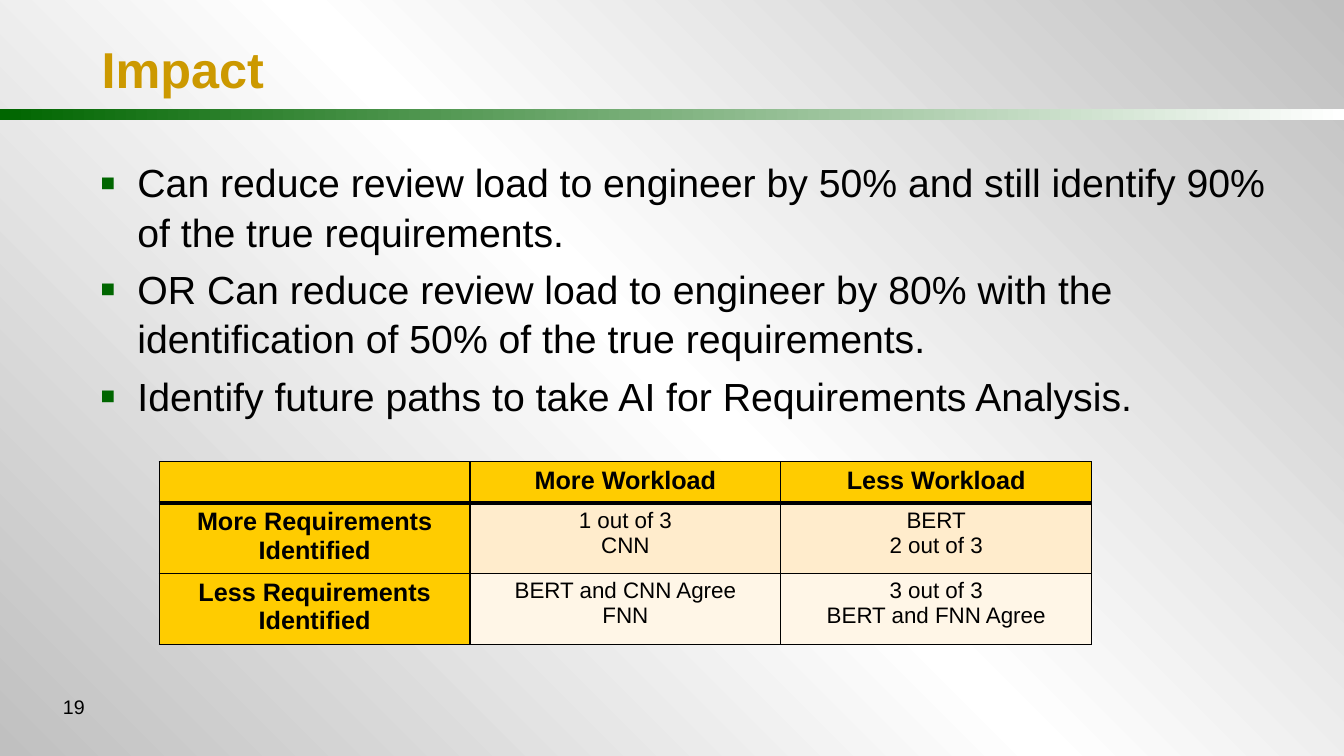
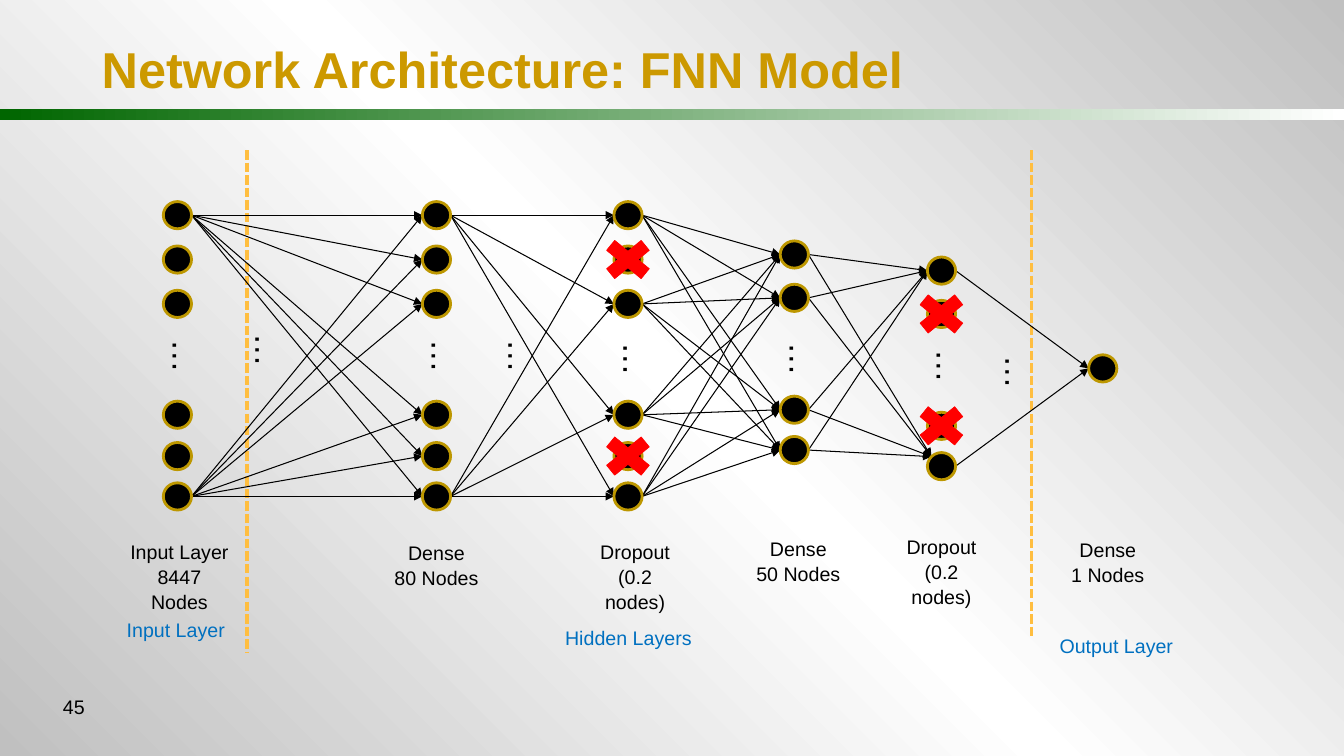
from dataclasses import dataclass
from itertools import product

from lxml import etree
from pptx import Presentation
from pptx import util as u
from pptx.dml.color import RGBColor
from pptx.enum import dml, shapes, text
from pptx.oxml.ns import qn

# Grid: square cells of a tenth of an inch
CELL = u.Inches(0.1)
COLS, ROWS = 133.33, 75

FONT = "Arial"
BLACK, WHITE, SILVER = "000000", "FFFFFF", "C0C0C0"
GREEN, GOLD, AMBER = "006600", "CC9900", "FFCC00"
RIM, DASH, RED, BLUE = "BD9700", "FFBE40", "FF0000", "0070C0"
BANDS = ("FFECCC", "FFF6E7")
LEFT, CENTER, RIGHT = (text.PP_ALIGN.LEFT, text.PP_ALIGN.CENTER,
                       text.PP_ALIGN.RIGHT)

NODE_W, NODE_H = 2.8, 2.7
CROSS_W, CROSS_H = 6.6, 5.4
SIX = (0, 4.4, 8.8, 19.8, 23.9, 27.9)
FOUR = (0, 4.3, 15.4, 19.4)


@dataclass(frozen=True)
class Layer:
    """A column of nodes with its caption."""
    x: float
    top: float
    offsets: tuple
    caption: str
    caption_mid: float
    caption_top: float
    dots_top: float | None = None
    caption_width: float = 11.2
    dropped: tuple = ()
    senders: tuple | None = None  # None: every live node sends
    corner: tuple = ()  # nodes whose arrows end at their upper left

    @property
    def live(self) -> list:
        return [i for i in range(len(self.offsets)) if i not in self.dropped]

    def mid(self, i: int) -> float:
        return self.top + self.offsets[i] + NODE_H / 2

    def exit(self, i: int) -> tuple:
        return self.x + NODE_W, self.mid(i)

    def entry(self, i: int) -> tuple:
        if i in self.corner:
            return self.x + 0.4, self.top + self.offsets[i] + 0.4
        return self.x, self.mid(i)


@dataclass(frozen=True)
class Label:
    text: str
    x: float
    y: float


LAYERS = (
    Layer(16.2, 20, SIX, "Input Layer\n8447 Nodes", 17.8, 53, 33.4,
          caption_width=11.8, senders=(0, 5)),
    Layer(41.9, 20, SIX, "Dense\n80 Nodes", 43.3, 53.1, 33.4, senders=(0, 5)),
    Layer(60.9, 20, SIX, "Dropout\n(0.2 nodes)", 63, 53, 33.7, dropped=(1, 4)),
    Layer(77.4, 23.9, FOUR, "Dense\n50 Nodes", 79.2, 52.7, 33.7),
    Layer(92, 25.5, FOUR, "Dropout\n(0.2 nodes)", 93.4, 52.5, 34.4,
          dropped=(1, 2), corner=(3,)),
    Layer(108, 35.2, (0,), "Dense\n1 Nodes", 109.9, 52.8),
)
STAGES = (Label("Input Layer", 9.1, 60.7), Label("Hidden Layers", 54, 61.5),
          Label("Output Layer", 102.4, 62.3))
GAP_DOTS = ((23.6, 32.9), (48.7, 33.4), (98, 35))
DIVIDERS = ((24.5, 64.8), (102.3, 63.1))

BULLETS = """Can reduce review load to engineer by 50% and still identify 90% of the true requirements.
OR Can reduce review load to engineer by 80% with the identification of 50% of the true requirements.
Identify future paths to take AI for Requirements Analysis."""
TABLE = (
    ("", "More Workload", "Less Workload"),
    ("More Requirements Identified", "1 out of 3\nCNN", "BERT\n2 out of 3"),
    ("Less Requirements Identified", "BERT and CNN Agree\nFNN",
     "3 out of 3\nBERT and FNN Agree"),
)


# Basic helpers
def g(n: float) -> int:
    return round(n * CELL)


def box(*cells: float) -> list:
    return [g(n) for n in cells]


def rgb(color: str) -> RGBColor:
    return RGBColor.from_string(color)


def gradient(fill, root, stops: dict, angle: float) -> None:
    """Fill with stops (percent to colour); the angle is counterclockwise."""
    fill.gradient()
    fill.gradient_angle = angle
    gs_list = root.find(".//" + qn("a:gsLst"))
    for gs in list(gs_list):
        gs_list.remove(gs)
    for pos, color in stops.items():
        gs = etree.SubElement(gs_list, qn("a:gs"), pos=str(pos * 1000))
        etree.SubElement(gs, qn("a:srgbClr"), val=color)


def write(tf, content: str, *, size: float, color: str = BLACK,
          bold: bool = False, align=LEFT, spacing: float = 1.05) -> None:
    for i, line in enumerate(content.split("\n")):
        p = tf.add_paragraph() if i else tf.paragraphs[0]
        p.alignment, p.line_spacing = align, spacing
        r = p.add_run()
        r.text = line
        r.font.name, r.font.size, r.font.bold = FONT, u.Pt(size), bold
        r.font.color.rgb = rgb(color)


def add_text(s, content: str, at: tuple, *, anchor=text.MSO_ANCHOR.TOP,
             rotation: float = 0, **style):
    sp = s.shapes.add_textbox(*box(*at))
    sp.rotation = rotation
    tf = sp.text_frame
    tf.word_wrap, tf.vertical_anchor = True, anchor
    write(tf, content, **style)
    return tf


def add_shape(s, kind, at: tuple, fill: str, line: str, width: float) -> None:
    sp = s.shapes.add_shape(kind, *box(*at))
    sp.shadow.inherit = False
    sp.fill.solid()
    sp.fill.fore_color.rgb = rgb(fill)
    sp.line.color.rgb, sp.line.width = rgb(line), u.Pt(width)


def add_line(s, start: tuple, end: tuple, color: str, width: float, *,
             dashed: bool = False, arrow: bool = False) -> None:
    sp = s.shapes.add_connector(shapes.MSO_CONNECTOR.STRAIGHT,
                                *box(*start, *end))
    sp.line.color.rgb, sp.line.width = rgb(color), u.Pt(width)
    if dashed:
        sp.line.dash_style = dml.MSO_LINE.SQUARE_DOT
    if arrow:
        ln = sp.line._get_or_add_ln()
        etree.SubElement(ln, qn("a:tailEnd"), type="triangle")
    etree.SubElement(sp.element.spPr, qn("a:effectLst"))


# Shared frame: background, band, title and number
def new_slide(prs, title: str, number: int):
    s = prs.slides.add_slide(prs.slide_layouts[6])
    gradient(s.background.fill, s.element,
             {0: SILVER, 50: WHITE, 100: SILVER}, 45)
    band = s.shapes.add_shape(shapes.MSO_SHAPE.RECTANGLE,
                              *box(0, 10.8, COLS, 1.15))
    band.shadow.inherit = False
    band.line.fill.background()
    gradient(band.fill, band.element, {0: GREEN, 100: WHITE}, 0)
    add_text(s, title, (9.1, 0.9, 118.9, 11.4), size=36, color=GOLD,
             bold=True, anchor=text.MSO_ANCHOR.MIDDLE)
    add_text(s, str(number), (2.6, 68.3, 6.8, 5), size=14, align=RIGHT)
    return s


# Impact slide
def add_bullets(s) -> None:
    tf = add_text(s, BULLETS, (8.9, 15, 118.9, 41.7), size=28)
    for p in tf.paragraphs:
        p.space_before = u.Pt(5.6)
        pPr = p._p.get_or_add_pPr()
        pPr.set("marL", str(g(3.75)))
        pPr.set("indent", str(-g(3.75)))
        color = etree.SubElement(pPr, qn("a:buClr"))
        etree.SubElement(color, qn("a:srgbClr"), val=GREEN)
        etree.SubElement(pPr, qn("a:buSzPct"), val="120000")
        etree.SubElement(pPr, qn("a:buFont"), typeface=FONT)
        etree.SubElement(pPr, qn("a:buChar"), char="▪")


def add_borders(cell, widths: dict) -> None:
    tcPr = cell._tc.get_or_add_tcPr()
    for side, width in widths.items():
        ln = etree.SubElement(tcPr, qn(f"a:ln{side}"), w=str(u.Pt(width)))
        fill = etree.SubElement(ln, qn("a:solidFill"))
        etree.SubElement(fill, qn("a:srgbClr"), val=BLACK)


def add_matrix(s) -> None:
    table = s.shapes.add_table(3, 3, *box(15.8, 45.8, 92.5, 17.3)).table
    for row, height in zip(table.rows, (4.1, 6.6, 6.6)):
        row.height = g(height)
    for i, j in product(range(3), repeat=2):
        cell = table.cell(i, j)
        head = i == 0 or j == 0
        add_borders(cell, {"L": 1, "R": 1, "T": 3 if i == 1 else 1,
                           "B": 3 if i == 0 else 1})
        cell.fill.solid()
        cell.fill.fore_color.rgb = rgb(AMBER if head else BANDS[i - 1])
        write(cell.text_frame, TABLE[i][j], size=18 if head else 16,
              bold=head, align=CENTER, spacing=1.0)


# Network slide
def add_dots(s, x: float, y: float) -> None:
    add_text(s, "…", (x, y, 6.5, 5), size=24, rotation=90)


def add_edges(s, source: Layer, target: Layer) -> None:
    senders = source.live if source.senders is None else source.senders
    for i, j in product(senders, target.live):
        add_line(s, source.exit(i), target.entry(j), BLACK, 0.75, arrow=True)


def add_layer(s, layer: Layer) -> None:
    for i, offset in enumerate(layer.offsets):
        add_shape(s, shapes.MSO_SHAPE.OVAL,
                  (layer.x, layer.top + offset, NODE_W, NODE_H),
                  BLACK, RIM, 2)
        if i in layer.dropped:
            add_shape(s, shapes.MSO_SHAPE.MATH_MULTIPLY,
                      (layer.x + (NODE_W - CROSS_W) / 2,
                       layer.mid(i) - CROSS_H / 2, CROSS_W, CROSS_H),
                      RED, RED, 0.5)
    if layer.dots_top is not None:
        add_dots(s, layer.x - 0.8, layer.dots_top)
    width = layer.caption_width
    add_text(s, layer.caption, (layer.caption_mid - width / 2,
             layer.caption_top, width, 5.7), size=14, align=CENTER)


def add_network(s) -> None:
    for x, bottom in DIVIDERS:
        add_line(s, (x, 14.9), (x, bottom), DASH, 2.25, dashed=True)
    for source, target in zip(LAYERS, LAYERS[1:]):
        add_edges(s, source, target)
    for layer in LAYERS:
        add_layer(s, layer)
    for x, y in GAP_DOTS:
        add_dots(s, x, y)
    for stage in STAGES:
        add_text(s, stage.text, (stage.x, stage.y, 16.7, 3.4),
                 size=14, color=BLUE, align=CENTER)


def main() -> None:
    prs = Presentation()
    prs.slide_width, prs.slide_height = box(COLS, ROWS)
    s = new_slide(prs, "Impact", 19)
    add_bullets(s)
    add_matrix(s)
    add_network(new_slide(prs, "Network Architecture: FNN Model", 45))
    prs.save("out.pptx")


if __name__ == "__main__":
    main()
